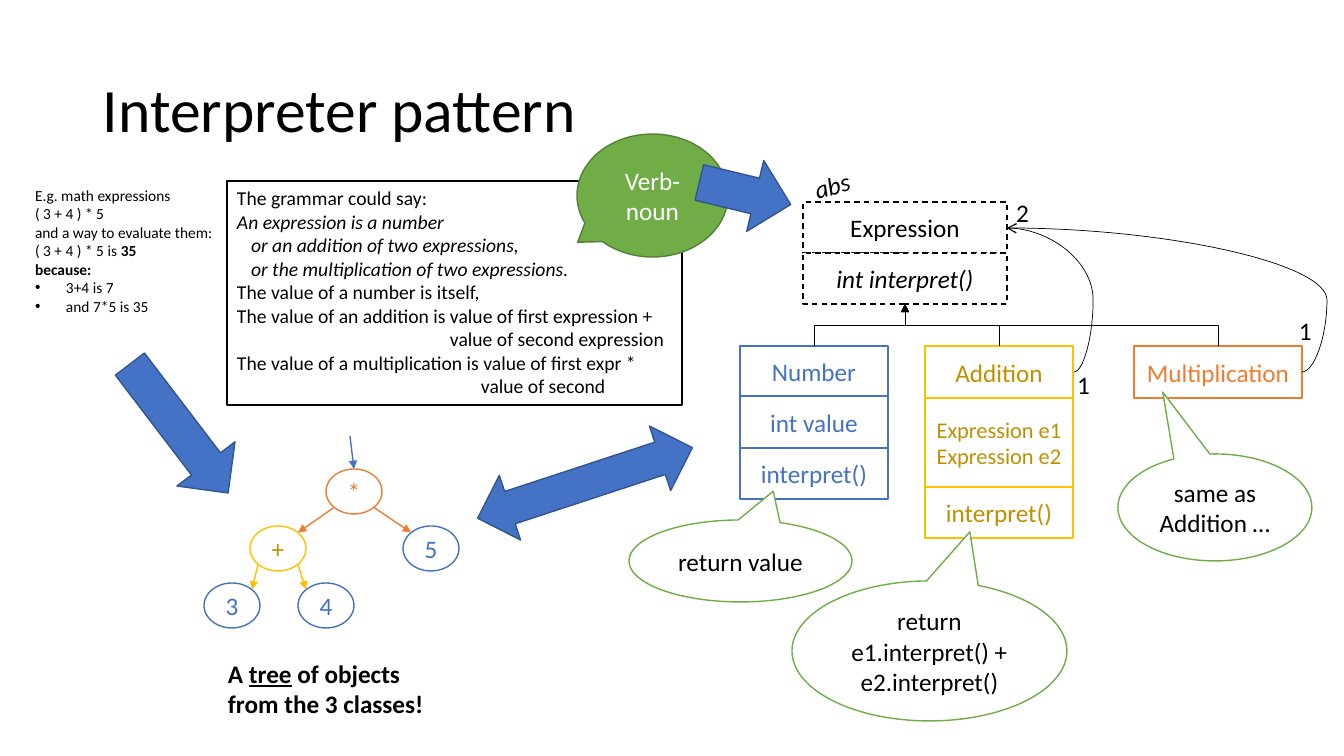
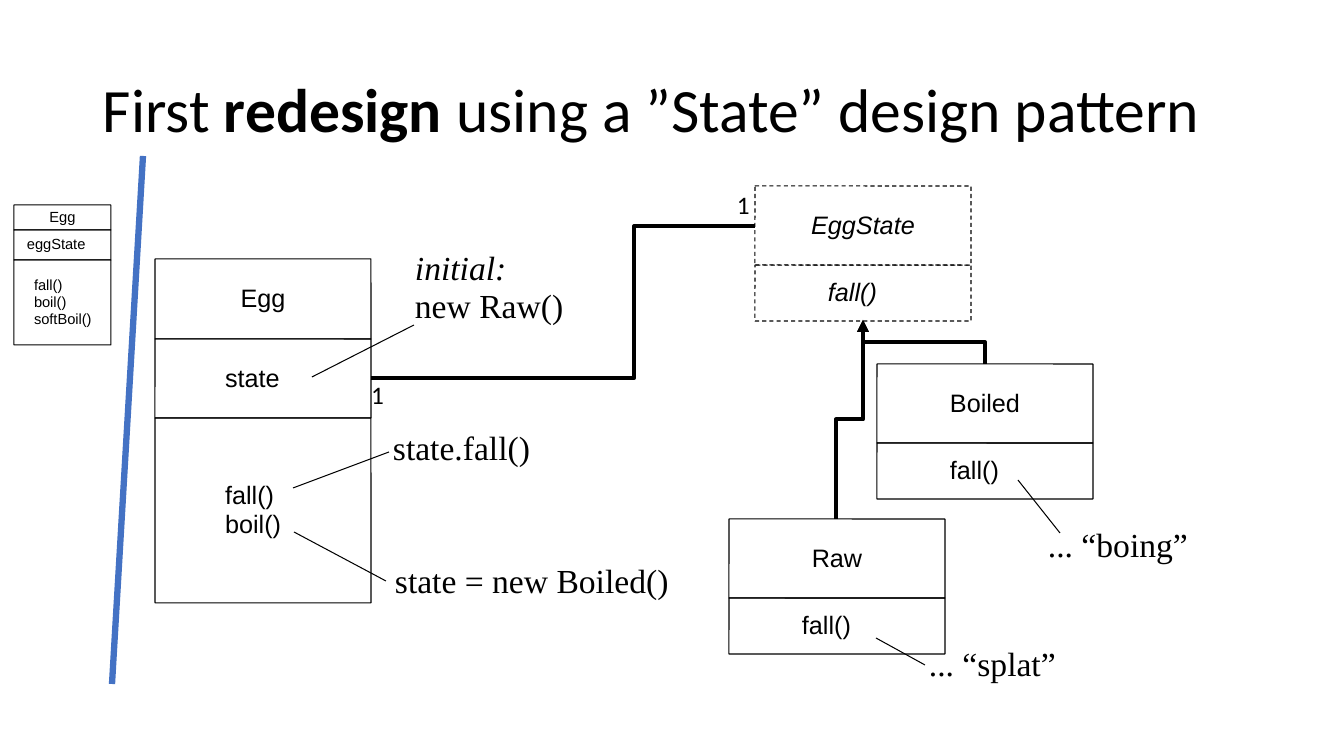
from dataclasses import dataclass

from lxml import etree
from pptx import Presentation
from pptx.dml.color import RGBColor
from pptx.enum.dml import MSO_LINE
from pptx.enum.shapes import MSO_CONNECTOR, MSO_SHAPE
from pptx.enum.text import MSO_ANCHOR, PP_ALIGN
from pptx.oxml.ns import qn
from pptx.util import Emu, Pt

SCALE = 914400 / 100.8
SLIDE_WIDTH, SLIDE_HEIGHT = 1344, 756

BLACK = RGBColor(0x00, 0x00, 0x00)
WHITE = RGBColor(0xFF, 0xFF, 0xFF)
BLUE = RGBColor(0x44, 0x72, 0xC4)
DARK_BLUE = RGBColor(0x32, 0x54, 0x91)
GOLD = RGBColor(0xFF, 0xC0, 0x00)
DARK_GOLD = RGBColor(0xBF, 0x90, 0x00)
ORANGE = RGBColor(0xED, 0x7D, 0x31)
GREEN = RGBColor(0x70, 0xAD, 0x47)
DARK_GREEN = RGBColor(0x53, 0x80, 0x35)

RECTANGLE = MSO_SHAPE.RECTANGLE
ROUNDED = MSO_SHAPE.ROUNDED_RECTANGLE
OVAL = MSO_SHAPE.OVAL
BALLOON = MSO_SHAPE.OVAL_CALLOUT
LEFT_ARROW = MSO_SHAPE.LEFT_ARROW
RIGHT_ARROW = MSO_SHAPE.RIGHT_ARROW
DOUBLE_ARROW = MSO_SHAPE.LEFT_RIGHT_ARROW
STRAIGHT, ELBOW, CURVE = MSO_CONNECTOR.STRAIGHT, MSO_CONNECTOR.ELBOW, MSO_CONNECTOR.CURVE
DASH = MSO_LINE.DASH
TOP, MIDDLE = MSO_ANCHOR.TOP, MSO_ANCHOR.MIDDLE
LEFT, CENTER = PP_ALIGN.LEFT, PP_ALIGN.CENTER

INSETS = (10, 5, 10, 5)
NO_INSETS = (0, 0, 0, 0)


@dataclass
class Line:
    """One paragraph; spans are (text, extra format) pairs."""
    spans: list
    indent: int = 0
    bullet: bool = False


def px(value):
    return Emu(round(value * SCALE))


# ---- Shared helpers ----
def write_text(frame, text, size=18, font="Calibri", color=BLACK, bold=False, italic=False,
               align=LEFT, anchor=TOP, spacing=1.0, insets=INSETS, wrap=True):
    frame.word_wrap = wrap
    frame.vertical_anchor = anchor
    (frame.margin_left, frame.margin_top,
     frame.margin_right, frame.margin_bottom) = map(px, insets)
    lines = text.split("\n") if isinstance(text, str) else text
    for number, line in enumerate(lines):
        if isinstance(line, str):
            line = Line([(line, {})])
        para = frame.add_paragraph() if number else frame.paragraphs[0]
        para.alignment, para.line_spacing = align, spacing
        if line.indent:
            properties = para._p.get_or_add_pPr()
            properties.set("marL", str(px(line.indent)))
            properties.set("indent", str(-px(line.indent) if line.bullet else 0))
            if line.bullet:
                etree.SubElement(properties, qn("a:buFont")).set("typeface", "Arial")
                etree.SubElement(properties, qn("a:buChar")).set("char", "•")
        for words, extra in line.spans:
            span = para.add_run()
            span.text = words
            span.font.name, span.font.size = font, Pt(size)
            span.font.color.rgb = color
            span.font.bold = extra.get("bold", bold)
            span.font.italic = extra.get("italic", italic)
            span.font.underline = extra.get("underline", False)


def add_text(page, box, text, rotation=0, **text_format):
    label = page.shapes.add_textbox(*map(px, box))
    label.rotation = rotation
    write_text(label.text_frame, text, **text_format)


def add_box(page, box, text="", kind=RECTANGLE, fill=WHITE, line=BLACK, weight=1,
            dash=None, adjust=(), rotation=0, **text_format):
    shape = page.shapes.add_shape(kind, *map(px, box))
    shape.shadow.inherit = False
    shape.rotation = rotation
    for number, value in enumerate(adjust):
        shape.adjustments[number] = value
    if fill is None:
        shape.fill.background()
    else:
        shape.fill.solid()
        shape.fill.fore_color.rgb = fill
    shape.line.color.rgb = line
    shape.line.width = Pt(weight)
    if dash:
        shape.line.dash_style = dash
    if text:
        write_text(shape.text_frame, text,
                   **{"align": CENTER, "anchor": MIDDLE, **text_format})


def connect(page, start, end, kind=STRAIGHT, color=BLACK, weight=0.75, bend=None,
            head=None, upright=False):
    (x1, y1), (x2, y2) = start, end
    turn = 0
    if upright:  # leaves vertically: the unturned frame has its sides swapped
        middle_x, middle_y = (x1 + x2) / 2, (y1 + y2) / 2
        side = 1 if x2 > x1 else -1
        half_x, half_y = side * abs(y2 - y1) / 2, abs(x2 - x1) / 2
        x1, y1 = middle_x + half_x, middle_y + half_y
        x2, y2 = middle_x - half_x, middle_y - half_y
        turn = 90 if side > 0 else 270
    link = page.shapes.add_connector(kind, px(x1), px(y1), px(x2), px(y2))
    link.line.color.rgb = color
    link.line.width = Pt(weight)
    properties = link._element.spPr
    if turn:
        properties.find(qn("a:xfrm")).set("rot", str(turn * 60000))
    if bend is not None:
        guides = properties.find(qn("a:prstGeom")).find(qn("a:avLst"))
        guide = etree.SubElement(guides, qn("a:gd"))
        guide.set("name", "adj1")
        guide.set("fmla", f"val {round(bend * 100000)}")
    if head:
        etree.SubElement(link.line._get_or_add_ln(), qn("a:tailEnd")).set("type", head)
    etree.SubElement(properties, qn("a:effectLst"))


def add_title(page, spans):
    add_text(page, (93, 40, 1159, 146), [Line(spans)], size=44, anchor=MIDDLE, spacing=0.9)


def class_box(page, left, top, width, rows, **style):
    """Stacked compartments; a row is (height, text, own format)."""
    for height, text, own in rows:
        add_box(page, (left, top, width, height), text, **{**style, **own})
        top += height


def multiplicity(page, left, top, text):
    add_text(page, (left, top, 14, 40), text, insets=(0, 5, 0, 5), wrap=False)


# ---- Interpreter slide ----
def math_example(page, left, top):
    add_text(page, (left, top, 206, 141), [
        "E.g. math expressions", "( 3 + 4 ) * 5", "and a way to evaluate them:",
        Line([("( 3 + 4 ) * 5 is ", {}), ("35", {"bold": True})]),
        Line([("because:", {"bold": True})]),
        Line([("3+4 is 7", {})], indent=31, bullet=True),
        Line([("and 7*5 is 35", {})], indent=31, bullet=True),
    ], size=11)


def grammar(page, left, top):
    slanted = {"italic": True}
    add_box(page, (left, top, 455, 224), [
        "The grammar could say:",
        Line([("An expression is a number", slanted)]),
        Line([("or an addition of two expressions,", slanted)], indent=14),
        Line([("or the multiplication of two expressions.", slanted)], indent=14),
        "The value of a number is itself,",
        "The value of an addition is value of first expression +",
        Line([("value of second expression", {})], indent=213),
        "The value of a multiplication is value of first expr *",
        Line([("value of second", {})], indent=244),
    ], size=14, align=LEFT, anchor=TOP)


def expression_classes(page, left, top):
    # Classes
    class_box(page, left + 63, top + 45, 204,
              [(51, "Expression", {}), (51, "int interpret()", {"italic": True})], dash=DASH)
    class_box(page, left, top + 189, 148,
              [(50, "Number", {}), (52, "int value", {}), (51, "interpret()", {})],
              line=BLUE, color=BLUE)
    class_box(page, left + 185, top + 189, 148,
              [(52, "Addition", {}), (89, "Expression e1\nExpression e2", {"size": 16}),
               (51, "interpret()", {})], line=GOLD, color=DARK_GOLD)
    class_box(page, left + 394, top + 189, 168, [(52, "Multiplication", {})],
              line=ORANGE, color=ORANGE)
    add_text(page, (left + 64, top + 7, 64, 40), "abs", rotation=344.5, italic=True)
    # Inheritance and references back to Expression
    for middle in (74, 259, 478):
        connect(page, (left + middle, top + 189), (left + 165, top + 147), ELBOW,
                weight=0.5, head="triangle", upright=True)
    for side, bend in ((334, -0.287), (562, -0.085)):
        connect(page, (left + side, top + 215), (left + 267, top + 71), CURVE,
                weight=0.5, bend=bend, head="arrow")
    for x, y, count in ((337, 207, "1"), (276, 35, "2"), (559, 153, "1")):
        multiplicity(page, left + x, top + y, count)
    # Method bodies
    for x, y, width, height, tip, text in (
            (-111, 363, 223, 82, (0.147, -0.851), "return value"),
            (52, 424, 275, 140, (0.147, -0.851), "return e1.interpret() + e2.interpret()"),
            (378, 297, 194, 107, (-0.269, -1.078), "same as Addition …")):
        add_box(page, (left + x, top + y, width, height), text, BALLOON,
                line=GREEN, adjust=tip)


def object_tree(page, left, top):
    width, height = 56, 45
    nodes = {"*": (122, 33, ORANGE, ORANGE), "+": (46, 90, GOLD, DARK_GOLD),
             "5": (199, 90, BLUE, BLUE), "3": (0, 147, BLUE, BLUE), "4": (94, 147, BLUE, BLUE)}
    centers = {}
    for text, (x, y, line, color) in nodes.items():
        add_box(page, (left + x, top + y, width, height), text, OVAL, line=line,
                color=color, insets=NO_INSETS)
        centers[text] = (left + x + width / 2, top + y + height / 2)
    connect(page, (left + 146, top), (left + 150, top + 33), color=BLUE, weight=1,
            head="triangle")
    for parent, child in ("*+", "*5", "+3", "+4"):
        (x1, y1), (x2, y2) = centers[parent], centers[child]
        reach = 20 if x2 > x1 else -20
        connect(page, (x1 + reach, y1 + 16), (x2 - reach, y2 - 16), color=nodes[parent][2],
                weight=1, head="triangle")
    add_text(page, (left + 14, top + 217, 233, 72), [Line([
        ("A ", {}), ("tree", {"underline": True}),
        (" of objects from the 3 classes!", {})])], bold=True)


def interpreter_slide(page):
    add_title(page, [("Interpreter pattern", {})])
    math_example(page, 25, 181)
    grammar(page, 227, 181)
    expression_classes(page, 740, 157)
    object_tree(page, 204, 436)
    add_box(page, (577, 134, 151, 123), "Verb-noun", BALLOON, fill=GREEN, line=DARK_GREEN,
            adjust=(-0.495, 0.38), color=WHITE)
    for kind, box, rotation in ((LEFT_ARROW, (98, 392, 162, 73), 232.7),
                                (RIGHT_ARROW, (698, 157, 94, 73), 13.5),
                                (DOUBLE_ARROW, (472, 449, 226, 68), 341.8)):
        add_box(page, box, kind=kind, fill=BLUE, line=DARK_BLUE, rotation=rotation)


# ---- State slide ----
PLAIN = {"kind": ROUNDED, "adjust": (0.002,), "fill": None, "weight": 0.75,
         "font": "Arial", "spacing": 0.95, "insets": NO_INSETS}


def members(inset):
    return {"align": LEFT, "insets": (inset, 0, 0, 0)}


def add_notes(page, left, top, notes, pointers):
    for x, y, width, height, text in notes:
        add_text(page, (left + x, top + y, width, height), text, size=24, spacing=0.95,
                 font="Times New Roman", insets=NO_INSETS)
    for x1, y1, x2, y2 in pointers:
        connect(page, (left + x1, top + y1), (left + x2, top + y2))


def old_egg(page, left, top):
    class_box(page, left, top, 97,
              [(25, "Egg", {}), (30, "eggState", members(13)),
               (85, "fall()\nboil()\nsoftBoil()", members(20))], size=10.5, **PLAIN)


def new_egg(page, left, top):
    class_box(page, left, top, 216,
              [(80, "Egg", {}), (79, "state", members(70)),
               (185, "fall()\nboil()", members(70))], **PLAIN)
    add_notes(page, left, top,
              [(240, 304, 290, 38, "state = new Boiled()"), (238, 171, 150, 38, "state.fall()"),
               (260, -9, 165, 78, [Line([("initial:", {"italic": True})]), "new Raw()"])],
              [(138, 229, 234, 193), (139, 273, 231, 322), (157, 118, 259, 66)])
    multiplicity(page, left + 216, top + 115, "1")


def egg_states(page, left, top):
    for x, y, name, style in ((26, 0, "EggState", {"dash": DASH, "italic": True}),
                              (148, 178, "Boiled", {}), (0, 333, "Raw", {})):
        class_box(page, left + x, top + y, 216,
                  [(79, name, {}), (56, "fall()", members(73))], **PLAIN, **style)
    for x, y in ((107, 333), (256, 178)):
        connect(page, (left + x, top + y), (left + 134, top + 134), ELBOW, weight=2.83,
                bend=0.5, head="triangle", upright=True)
    add_notes(page, left, top,
              [(319, 341, 162, 38, "... “boing”"), (200, 460, 177, 38, "... “splat”")],
              [(147, 452, 196, 479), (289, 294, 331, 347)])
    multiplicity(page, left + 8, top - 2, "1")


def state_slide(page):
    add_title(page, [("First ", {}), ("redesign ", {"bold": True}),
                     ("using a ”State” design pattern", {})])
    old_egg(page, 14, 205)
    new_egg(page, 155, 259)
    egg_states(page, 729, 186)
    connect(page, (371, 378), (755, 226), ELBOW, weight=2.83, bend=0.686)
    connect(page, (143, 156), (112, 684), color=BLUE, weight=4.5)


deck = Presentation()
deck.slide_width, deck.slide_height = px(SLIDE_WIDTH), px(SLIDE_HEIGHT)
for build in (interpreter_slide, state_slide):
    build(deck.slides.add_slide(deck.slide_layouts[6]))
deck.save("out.pptx")
